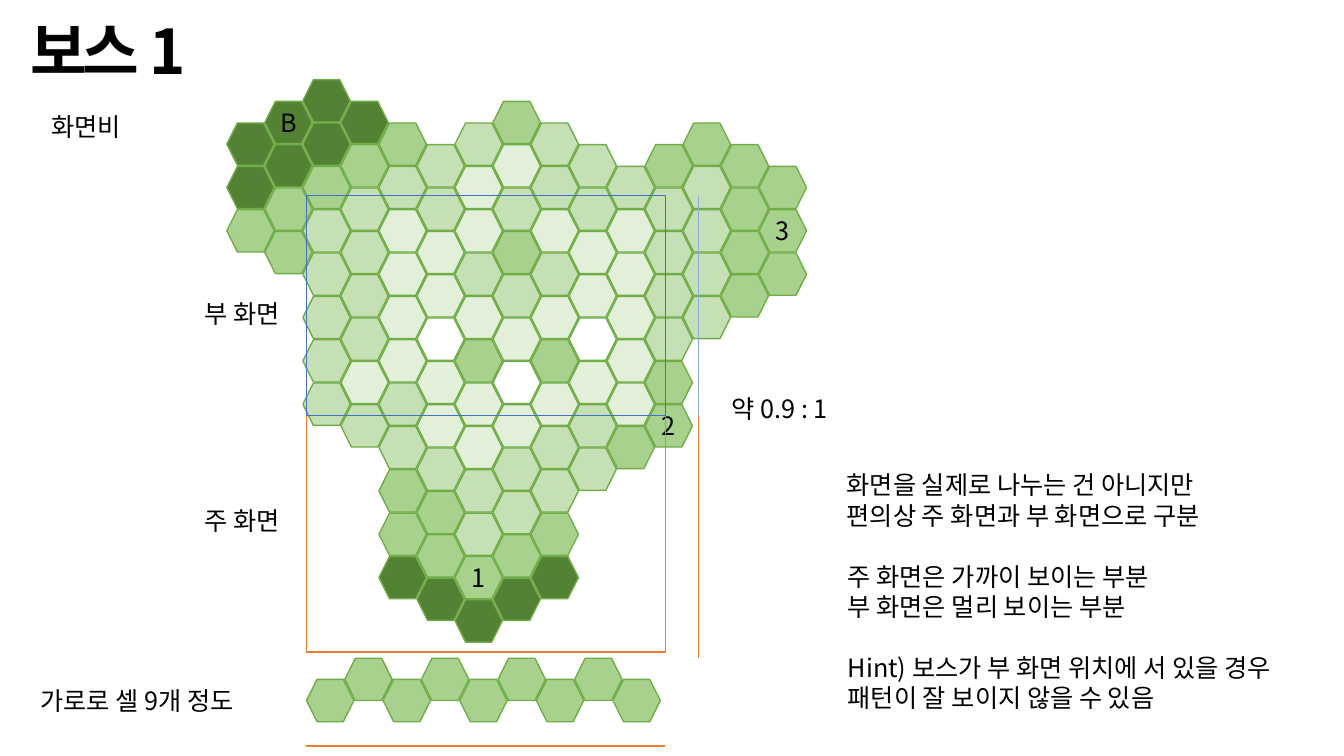
from dataclasses import dataclass

from lxml import etree
from pptx import Presentation
from pptx.dml.color import RGBColor
from pptx.enum.shapes import MSO_CONNECTOR, MSO_SHAPE
from pptx.enum.text import MSO_ANCHOR, PP_ALIGN
from pptx.oxml.ns import qn
from pptx.util import Inches, Pt

HEXAGON = MSO_SHAPE.HEXAGON
RECTANGLE = MSO_SHAPE.RECTANGLE
STRAIGHT = MSO_CONNECTOR.STRAIGHT
MIDDLE = MSO_ANCHOR.MIDDLE
CENTER = PP_ALIGN.CENTER


@dataclass(frozen=True)
class Theme:
    font: str = "Noto Sans CJK KR"
    title_size: int = 44
    body_size: int = 18
    line_width: int = 1
    text: str = "000000"
    cell_outline: str = "70AD47"
    dark: str = "548235"
    medium: str = "A9D18E"
    light: str = "C5E0B4"
    pale: str = "E2F0D9"
    white: str = "FFFFFF"
    orange: str = "ED7D31"
    blue: str = "4472C4"
    soft_blue: str = "8FAADC"


theme = Theme()
shades = {
    "D": theme.dark,
    "M": theme.medium,
    "L": theme.light,
    "P": theme.pale,
    "W": theme.white,
}

presentation = Presentation()
presentation.slide_width = Inches(13.33)
presentation.slide_height = Inches(7.5)
slide = presentation.slides.add_slide(presentation.slide_layouts[6])


def write_text(paragraph, text, size):
    run = paragraph.add_run()
    run.text = text
    run.font.name = theme.font
    run.font.size = Pt(size)
    run.font.color.rgb = RGBColor.from_string(theme.text)
    properties = run.font._element
    etree.SubElement(properties, qn("a:ea")).set("typeface", theme.font)
    return run


def add_hexagon(left, top, color):
    shape = slide.shapes.add_shape(
        HEXAGON, Inches(left), Inches(top), Inches(0.47), Inches(0.42)
    )
    shape.shadow.inherit = False
    shape.fill.solid()
    shape.fill.fore_color.rgb = RGBColor.from_string(color)
    shape.line.color.rgb = RGBColor.from_string(theme.cell_outline)
    shape.line.width = Pt(theme.line_width)
    return shape


title = slide.shapes.add_textbox(Inches(0.2), Inches(-0.18), Inches(11.5), Inches(1.45))
title.text_frame.word_wrap = True
title.text_frame.vertical_anchor = MIDDLE
title_paragraph = title.text_frame.paragraphs[0]
title_paragraph.line_spacing = 0.9
title_run = write_text(title_paragraph, "보스 1", theme.title_size)
title_run.font.bold = True
title_run.font._element.set("spc", "-300")

map_left, map_top = 2.25, 0.79
column_step, row_step = 5.28 / 14, 0.43
map_columns = [
    (2, "DDM"),
    (1, "DDMM"),
    (0, "DDMLLLLL"),
    (1, "DMLLLLPL"),
    (2, "MLPPPPLLMMD"),
    (3, "LLPPWPPLMMD"),
    (2, "LPPLPMPPLLMD"),
    (1, "MPLMLPWPLLMD"),
    (2, "LLPLPMPLLMD"),
    (3, "LLPPWPLL"),
    (4, "LPPPPPM"),
    (3, "MLLLLMM"),
    (2, "MLLLL"),
    (3, "MMMM"),
    (4, "MMM"),
]
cell_labels = {(1, 0): "B", (6, 10): "1", (11, 6): "2", (14, 1): "3"}

for column, (half_rows, cells) in enumerate(map_columns):
    for row, shade in enumerate(cells):
        cell = add_hexagon(
            map_left + column * column_step,
            map_top + (half_rows / 2 + row) * row_step,
            shades[shade],
        )
        if (column, row) in cell_labels:
            frame = cell.text_frame
            frame.word_wrap = False
            frame.vertical_anchor = MIDDLE
            frame.margin_left = frame.margin_right = 0
            frame.margin_top = frame.margin_bottom = 0
            frame.paragraphs[0].alignment = CENTER
            write_text(frame.paragraphs[0], cell_labels[column, row], theme.body_size)

for position in range(9):
    add_hexagon(3.04 + position * 0.38, 6.53 if position % 2 else 6.74, theme.medium)

screens = [(4.12, 2.35, theme.orange), (1.94, 2.18, theme.blue)]
for top, height, color in screens:
    screen = slide.shapes.add_shape(
        RECTANGLE, Inches(3.04), Inches(top), Inches(3.56), Inches(height)
    )
    screen.shadow.inherit = False
    screen.fill.background()
    screen.line.color.rgb = RGBColor.from_string(color)
    screen.line.width = Pt(theme.line_width)

measure_lines = [
    (3.04, 7.4, 6.6, 7.4, theme.orange),
    (6.93, 6.53, 6.93, 4.12, theme.orange),
    (6.93, 4.12, 6.93, 1.94, theme.soft_blue),
]
for start_x, start_y, end_x, end_y, color in measure_lines:
    connector = slide.shapes.add_connector(
        STRAIGHT, Inches(start_x), Inches(start_y), Inches(end_x), Inches(end_y)
    )
    connector.line.color.rgb = RGBColor.from_string(color)
    connector.line.width = Pt(theme.line_width)
    etree.SubElement(connector._element.spPr, qn("a:effectLst"))

notes = [
    (0.41, 1.06, 0.96, 0.4, ["화면비"]),
    (7.16, 3.85, 2.85, 0.4, ["약 0.9 : 1"]),
    (0.3, 6.75, 2.38, 0.4, ["가로로 셀 9개 정도"]),
    (1.93, 2.91, 1.05, 0.4, ["부 화면"]),
    (1.93, 4.96, 1.05, 0.4, ["주 화면"]),
    (8.3, 4.61, 4.18, 0.71, [
        "화면을 실제로 나누는 건 아니지만",
        "편의상 주 화면과 부 화면으로 구분",
    ]),
    (8.31, 5.52, 4.92, 1.62, [
        "주 화면은 가까이 보이는 부분",
        "부 화면은 멀리 보이는 부분",
        "Hint) 보스가 부 화면 위치에 서 있을 경우",
        "패턴이 잘 보이지 않을 수 있음",
    ]),
]
for left, top, width, height, lines in notes:
    box = slide.shapes.add_textbox(
        Inches(left), Inches(top), Inches(width), Inches(height)
    )
    box.text_frame.word_wrap = False
    for index, line in enumerate(lines):
        paragraph = (
            box.text_frame.add_paragraph() if index else box.text_frame.paragraphs[0]
        )
        if index == 2:
            paragraph.space_before = Pt(21.5)
        write_text(paragraph, line, theme.body_size)

presentation.save("out.pptx")
